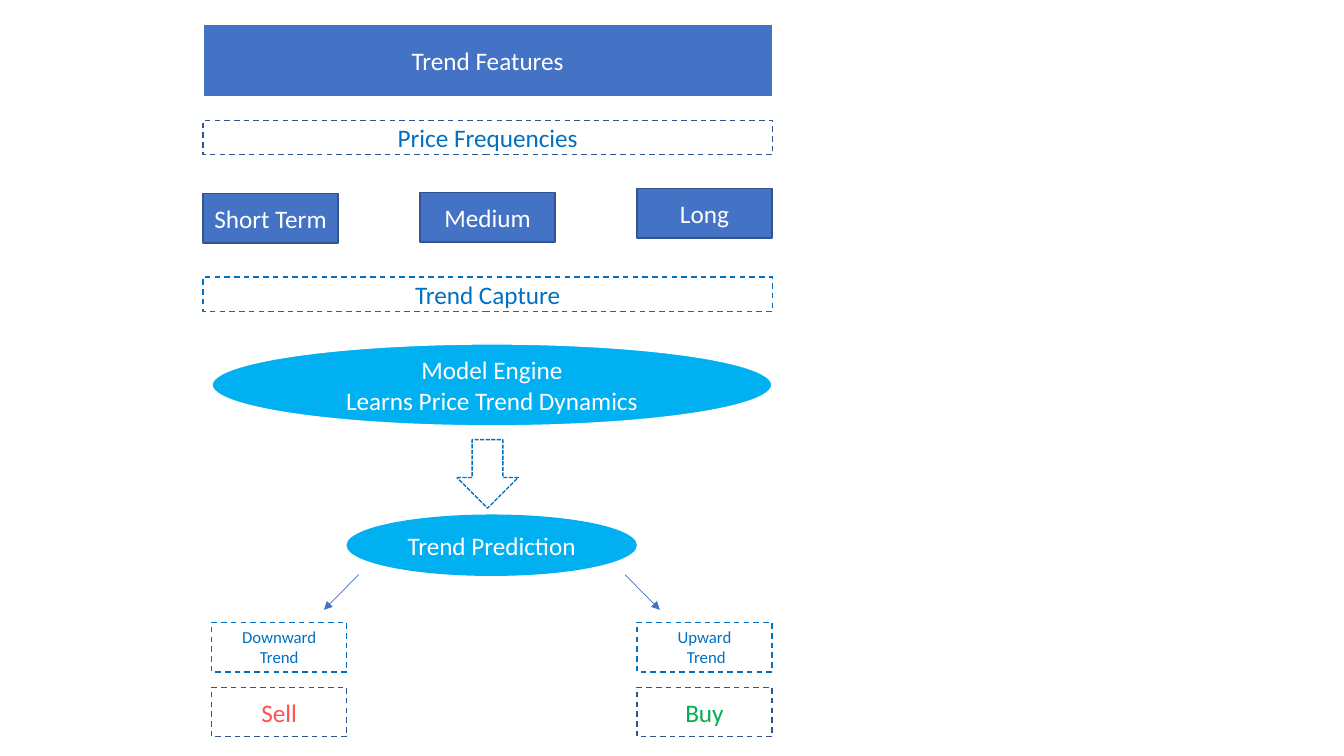
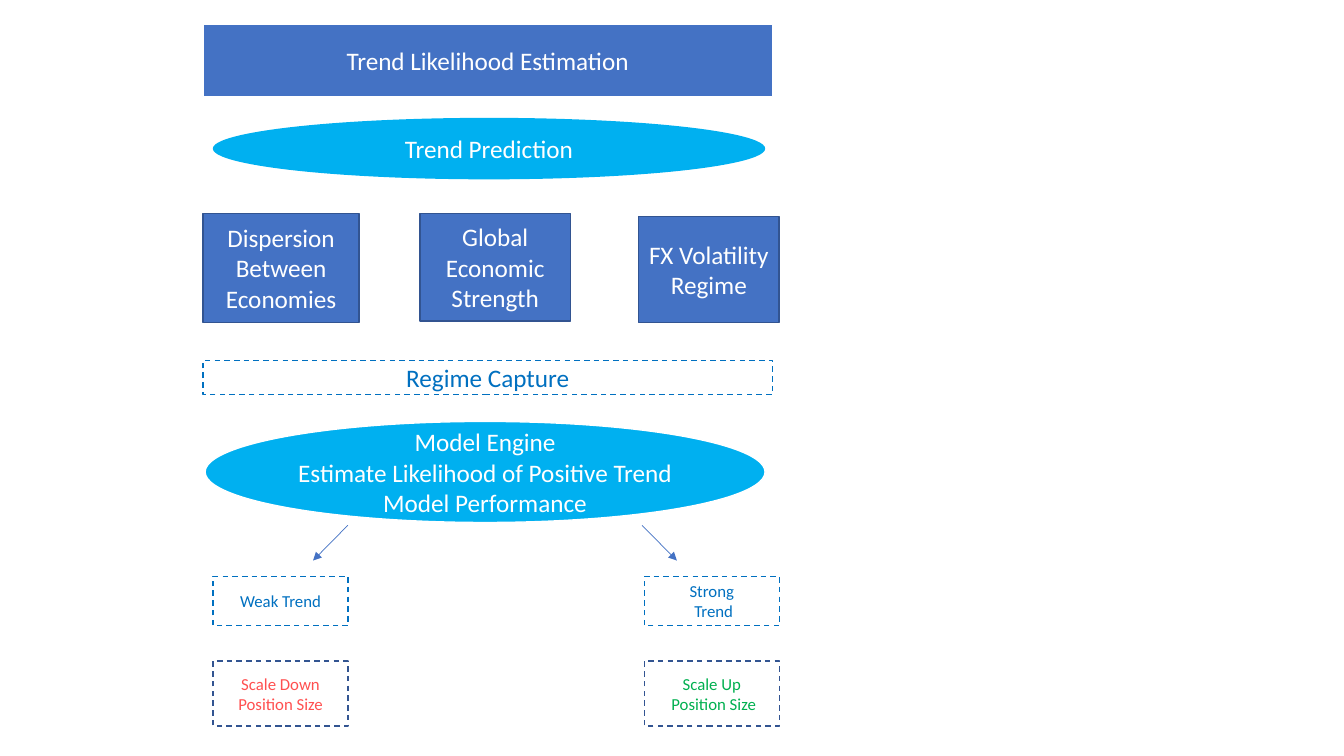
from lxml import etree
from pptx import Presentation
from pptx import util as u
from pptx.dml.color import RGBColor
from pptx.enum import dml, shapes, text
from pptx.oxml import ns

FONT = "Calibri"
BLUE, NAVY, SKY, INK = "4472C4", "325491", "00B0F0", "0070C0"
WHITE, RED, GREEN = "FFFFFF", "FF5050", "00B050"
LEFT, WIDTH = 145, 406.8
BAND_H = 24.5
BOX_W, BOX_H = 96.5, 35.3
SHAPE = shapes.MSO_SHAPE
DASH = dml.MSO_LINE.DASH


def rgb(value):
    return RGBColor.from_string(value)


def points(*values):
    return [u.Pt(value) for value in values]


def paint(sp, fill, line=None, dash=None):
    sp.fill.solid()
    sp.fill.fore_color.rgb = rgb(fill)
    if line is None:
        sp.line.fill.background()
        return
    sp.line.color.rgb = rgb(line)
    sp.line.width = u.Pt(1)
    if dash is not None:
        sp.line.dash_style = dash


def write(sp, words, color=WHITE, size=18):
    tf = sp.text_frame
    tf.text = words
    tf.word_wrap = True
    tf.auto_size = text.MSO_AUTO_SIZE.NONE
    tf.vertical_anchor = text.MSO_ANCHOR.MIDDLE
    for p in tf.paragraphs:
        p.alignment = text.PP_ALIGN.CENTER
        for r in p.runs:
            r.font.name = FONT
            r.font.size = u.Pt(size)
            r.font.color.rgb = rgb(color)


def add_shape(s, kind, area, fill, line=None, dash=None):
    sp = s.shapes.add_shape(kind, *points(*area))
    sp.shadow.inherit = False
    paint(sp, fill, line, dash)
    return sp


def add_title_slide(prs, words):
    s = prs.slides.add_slide(prs.slide_layouts[5])
    title = s.shapes.title
    title.left, title.top, title.width, title.height = points(LEFT, 17.6, WIDTH, 51.4)
    paint(title, BLUE, WHITE)
    write(title, words)
    return s


def add_tile(s, area, words):
    write(add_shape(s, SHAPE.RECTANGLE, area, BLUE, NAVY), words)


def add_oval(s, area, words, line=None):
    write(add_shape(s, SHAPE.OVAL, area, SKY, line), words)


def add_dashed(s, area, words, line=INK, color=INK, size=18):
    write(add_shape(s, SHAPE.RECTANGLE, area, WHITE, line, DASH), words, color, size)


def add_band(s, top, words, line=INK):
    add_dashed(s, (LEFT, top, WIDTH, BAND_H), words, line)


def add_arrow(s, start, end):
    arrow = s.shapes.add_connector(shapes.MSO_CONNECTOR.STRAIGHT, *points(*start, *end))
    arrow.line.color.rgb = rgb(BLUE)
    arrow.line.width = u.Pt(0.5)
    etree.SubElement(arrow.line._get_or_add_ln(), ns.qn("a:tailEnd"), type="triangle")
    etree.SubElement(arrow._element.spPr, ns.qn("a:effectLst"))


def add_outcome(s, left, tops, trend, action, color, action_h, action_size):
    trend_top, action_top = tops
    add_dashed(s, (left, trend_top, BOX_W, BOX_H), trend, size=12)
    add_dashed(s, (left, action_top, BOX_W, action_h), action, NAVY, color, action_size)


def add_branches(s, top, left_start, right_start, reach=24.9):
    add_arrow(s, (left_start, top), (left_start - reach, top + 25.2))
    add_arrow(s, (right_start, top), (right_start + reach, top + 25.2))


def features_slide(prs):
    s = add_title_slide(prs, "Trend Features")

    # Price inputs
    add_band(s, 86, "Price Frequencies", NAVY)
    terms = [(LEFT, 138.2, "Short Term"), (300, 137.5, "Medium"), (455, 134.8, "Long")]
    for left, top, words in terms:
        add_tile(s, (left, top, BOX_W, BOX_H), words)

    # Model and prediction
    add_band(s, 198, "Trend Capture")
    add_oval(s, (151.4, 245.7, 400, 58.5),
             "Model Engine\nLearns Price Trend Dynamics", WHITE)
    add_shape(s, SHAPE.DOWN_ARROW, (326.3, 314, 43.9, 49), WHITE, INK,
              dml.MSO_LINE.SQUARE_DOT)
    add_oval(s, (247.5, 367.5, 207.4, 43.9), "Trend Prediction")

    # Outcomes
    add_branches(s, 410.4, 256.3, 446.4)
    tops = (444.6, 491)
    add_outcome(s, 151.2, tops, "Downward Trend", "Sell", RED, BOX_H, 18)
    add_outcome(s, 455, tops, "Upward\n Trend", "Buy", GREEN, BOX_H, 18)


def likelihood_slide(prs):
    s = add_title_slide(prs, "Trend Likelihood Estimation")

    # Prediction and regime inputs
    add_oval(s, (152, 84.2, 394.6, 43.9), "Trend Prediction")
    add_tile(s, (LEFT, 152.4, 111.6, 77.8), "Dispersion Between Economies")
    add_tile(s, (300, 152.4, 107.5, 76.8), "Global Economic Strength")
    add_tile(s, (456.2, 154.8, 100.3, 75.6), "FX Volatility Regime")

    # Model
    add_band(s, 257.5, "Regime Capture")
    add_oval(s, (146.5, 301, 400, 72.2),
             "Model Engine\nEstimate Likelihood of Positive Trend Model Performance", WHITE)

    # Outcomes
    add_branches(s, 375.2, 248.5, 458.6)
    tops = (411.6, 472.3)
    add_outcome(s, 152.2, tops, "Weak Trend", "Scale Down Position Size", RED, 46.2, 12)
    add_outcome(s, 460.2, tops, "Strong\n Trend", "Scale Up\n Position Size", GREEN, 46.2, 12)


def main():
    prs = Presentation()
    prs.slide_width, prs.slide_height = points(960, 540)
    features_slide(prs)
    likelihood_slide(prs)
    prs.save("out.pptx")


main()
